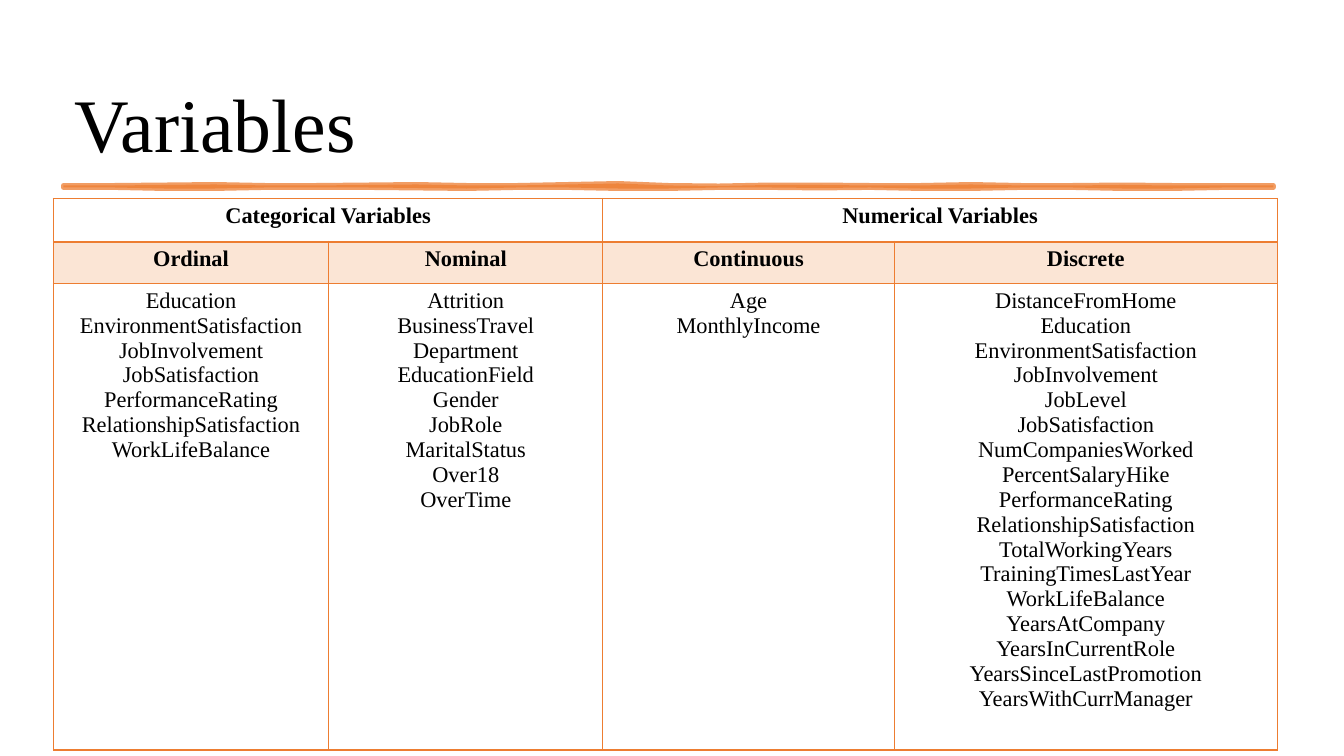
from lxml import etree
from pptx import Presentation
from pptx.dml.color import RGBColor
from pptx.enum.text import MSO_ANCHOR, PP_ALIGN
from pptx.oxml.ns import qn
from pptx.util import Pt

SCALE = 9144
BOTTOM = MSO_ANCHOR.BOTTOM
LEFT, CENTER = PP_ALIGN.LEFT, PP_ALIGN.CENTER
ORANGE, BLACK = "ED7D31", "000000"

GROUPS = ["Categorical Variables", "Numerical Variables"]
KINDS = {
    "Ordinal": [
        "Education", "EnvironmentSatisfaction", "JobInvolvement",
        "JobSatisfaction", "PerformanceRating", "RelationshipSatisfaction",
        "WorkLifeBalance",
    ],
    "Nominal": [
        "Attrition", "BusinessTravel", "Department", "EducationField",
        "Gender", "JobRole", "MaritalStatus", "Over18", "OverTime",
    ],
    "Continuous": ["Age", "MonthlyIncome"],
    "Discrete": [
        "DistanceFromHome", "Education", "EnvironmentSatisfaction",
        "JobInvolvement", "JobLevel", "JobSatisfaction",
        "NumCompaniesWorked", "PercentSalaryHike", "PerformanceRating",
        "RelationshipSatisfaction", "TotalWorkingYears",
        "TrainingTimesLastYear", "WorkLifeBalance", "YearsAtCompany",
        "YearsInCurrentRole", "YearsSinceLastPromotion",
        "YearsWithCurrManager",
    ],
}
UPPER = [0, 0, -0.5, -1, 0, 0, -0.5, -1, 0, 0, -1, -2, 0,
         0.5, -0.5, -0.5, 0, 0, -1, 0, 0, -0.5, 0, 0, 0]
LOWER = [2, 2, 3, 3, 2, 2, 2, 2.5, 3, 2, 2, 3, 3,
         2, 2, 2.5, 2, 3, 3, 2, 2, 3, 3, 2, 2]


def px(n):
    return round(n * SCALE)


def color(code):
    return RGBColor.from_string(code)


def fade(node, share):
    for tint in node.iter(qn("a:srgbClr")):
        etree.SubElement(tint, qn("a:alpha")).set("val", str(share * 1000))


def apply(item, values):
    for name, value in values.items():
        setattr(item, name, value)


class Page:
    face = "Times New Roman"

    def __init__(self, deck):
        self.slide = deck.slides.add_slide(deck.slide_layouts[6])

    def label(self, frame, text, size, align=LEFT, bold=False, space=1.0):
        frame.text = text
        for para in frame.paragraphs:
            apply(para, {"alignment": align, "line_spacing": space})
            apply(para.font, {"name": self.face, "size": Pt(size), "bold": bold})
            para.font.color.rgb = color(BLACK)

    def title(self, text, box):
        frame = self.slide.shapes.add_textbox(*map(px, box)).text_frame
        apply(frame, {"word_wrap": True, "vertical_anchor": BOTTOM})
        self.label(frame, text, 54, space=0.9)

    def stroke(self, left, top, step):
        upper = [(left + i * step, top + dy) for i, dy in enumerate(UPPER)]
        lower = [(left + i * step, top + dy) for i, dy in enumerate(LOWER)]
        points = [(px(x), px(y)) for x, y in upper + lower[::-1]]
        pen = self.slide.shapes.build_freeform(*points[0])
        pen.add_line_segments(points[1:], close=True)
        shape = pen.convert_to_shape()
        shape.shadow.inherit = False
        shape.fill.solid()
        shape.fill.fore_color.rgb = color(ORANGE)
        shape.line.color.rgb = color(ORANGE)
        shape.line.width = Pt(3.5)
        fade(shape.element.spPr, 75)

    def border(self, cell, widths):
        props = cell._tc.get_or_add_tcPr()
        for spot, (side, width) in enumerate(widths.items()):
            line = etree.Element(qn("a:ln" + side), w=str(Pt(width)))
            fill = etree.SubElement(line, qn("a:solidFill"))
            etree.SubElement(fill, qn("a:srgbClr")).set("val", ORANGE)
            props.insert(spot, line)

    def table(self, left, top, widths, heights):
        box = map(px, (left, top, sum(widths), sum(heights)))
        grid = self.slide.shapes.add_table(len(heights), len(widths), *box).table
        apply(grid, {"first_row": False, "horz_banding": False})
        for col, width in zip(grid.columns, widths):
            col.width = px(width)
        for row, height in zip(grid.rows, heights):
            row.height = px(height)
        for i in range(len(heights)):
            for j in range(len(widths)):
                cell = grid.cell(i, j)
                if i == 1:
                    cell.fill.solid()
                    cell.fill.fore_color.rgb = color(ORANGE)
                    fade(cell._tc, 20)
                else:
                    cell.fill.background()
                self.border(cell, {"L": 1, "R": 1, "T": 2 if i == 1 else 1,
                                   "B": 2 if i == 0 else 1})
        for i, name in enumerate(GROUPS):
            cell = grid.cell(0, 2 * i)
            cell.merge(grid.cell(0, 2 * i + 1))
            self.label(cell.text_frame, name, 16, CENTER, True)
        for j, (kind, names) in enumerate(KINDS.items()):
            self.label(grid.cell(1, j).text_frame, kind, 16, CENTER, True)
            self.label(grid.cell(2, j).text_frame, "\n".join(names), 16, CENTER)


def main():
    deck = Presentation()
    apply(deck, {"slide_width": px(1333), "slide_height": px(750)})
    page = Page(deck)
    page.title("Variables", (64, 75, 1205, 97))
    page.stroke(63, 184, 50)
    page.table(53, 197, [273, 272, 289, 380], [43, 41, 442])
    deck.save("out.pptx")


if __name__ == "__main__":
    main()
